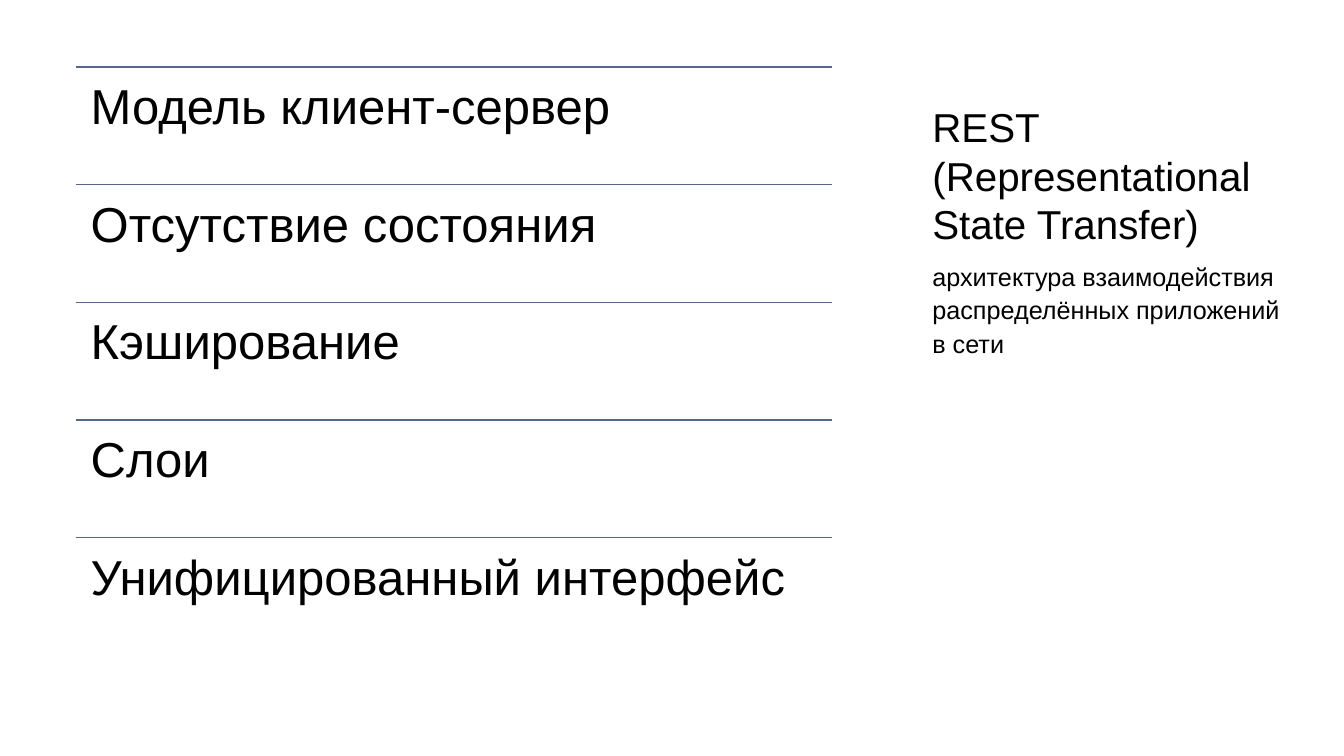
from dataclasses import dataclass

from lxml import etree
from pptx import Presentation, util as u
from pptx.dml import color
from pptx.enum import shapes, text
from pptx.oxml import ns


@dataclass(frozen=True)
class Theme:
    face: str = "Arial"
    ink: str = "000000"
    rule: str = "54688C"
    title: float = 28.8
    item: float = 35
    body: float = 18


class Board:
    """Holds the theme and the current slide."""

    def __init__(self, slide, theme):
        self.slide, self.theme = slide, theme

    def line(self, left, top, width):
        start, end, y = u.Pt(left), u.Pt(left + width), u.Pt(top)
        rule = self.slide.shapes.add_connector(
            shapes.MSO_CONNECTOR.STRAIGHT, start, y, end, y)
        rule.line.color.rgb = color.RGBColor.from_string(self.theme.rule)
        rule.line.width = u.Pt(1)
        etree.SubElement(rule._element.spPr, ns.qn("a:effectLst"))

    def text(self, words, area, size, inset=0, anchor="TOP", **style):
        box = self.slide.shapes.add_textbox(*map(u.Pt, area))
        frame = box.text_frame
        frame.word_wrap = True
        frame.vertical_anchor = text.MSO_ANCHOR[anchor]
        for side in ("left", "top", "right", "bottom"):
            setattr(frame, "margin_" + side, u.Pt(inset))
        para = frame.paragraphs[0]
        for key, value in style.items():
            setattr(para, key, value)
        run = para.add_run()
        run.text = words
        for key, value in {"name": self.theme.face, "size": u.Pt(size)}.items():
            setattr(run.font, key, value)
        run.font.color.rgb = color.RGBColor.from_string(self.theme.ink)


# Slide
deck = Presentation()
deck.slide_width, deck.slide_height = u.Pt(960), u.Pt(540)
theme = Theme()
board = Board(deck.slides.add_slide(deck.slide_layouts[6]), theme)

# Title
board.text("REST (Representational State Transfer)",
           (666, 47.5, 249, 129.5), theme.title, anchor="BOTTOM")

# Principles, each under a rule
items = ("Модель клиент-сервер", "Отсутствие состояния", "Кэширование",
         "Слои", "Унифицированный интерфейс")
left, top, width, step = 54, 48, 540, 84
for row, item in enumerate(items):
    y = top + row * step
    board.line(left, y, width)
    board.text(item, (left, y, width, step), theme.item, inset=10.8,
               line_spacing=0.9)

# Definition
board.text("архитектура взаимодействия распределённых приложений в сети",
           (666, 184.5, 249, 283.5), theme.body,
           line_spacing=1.1, space_before=u.Pt(8))

deck.save("out.pptx")
